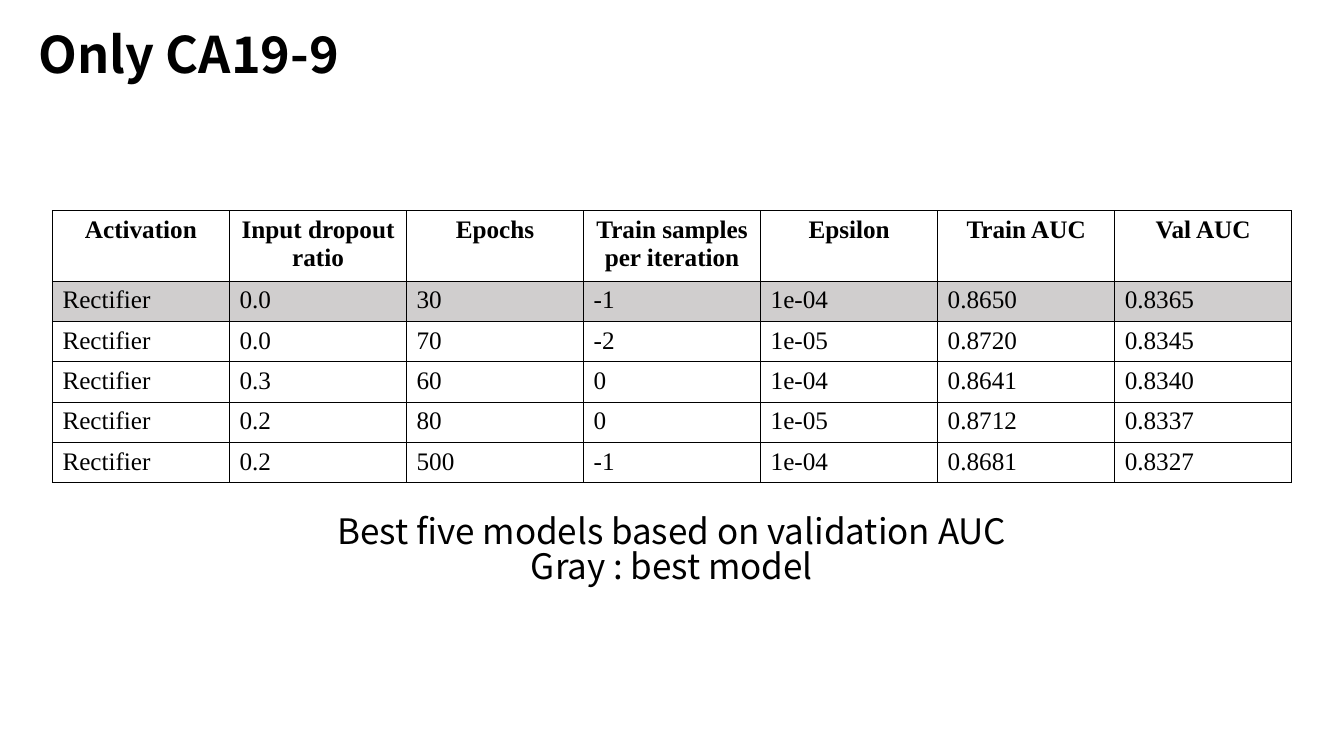
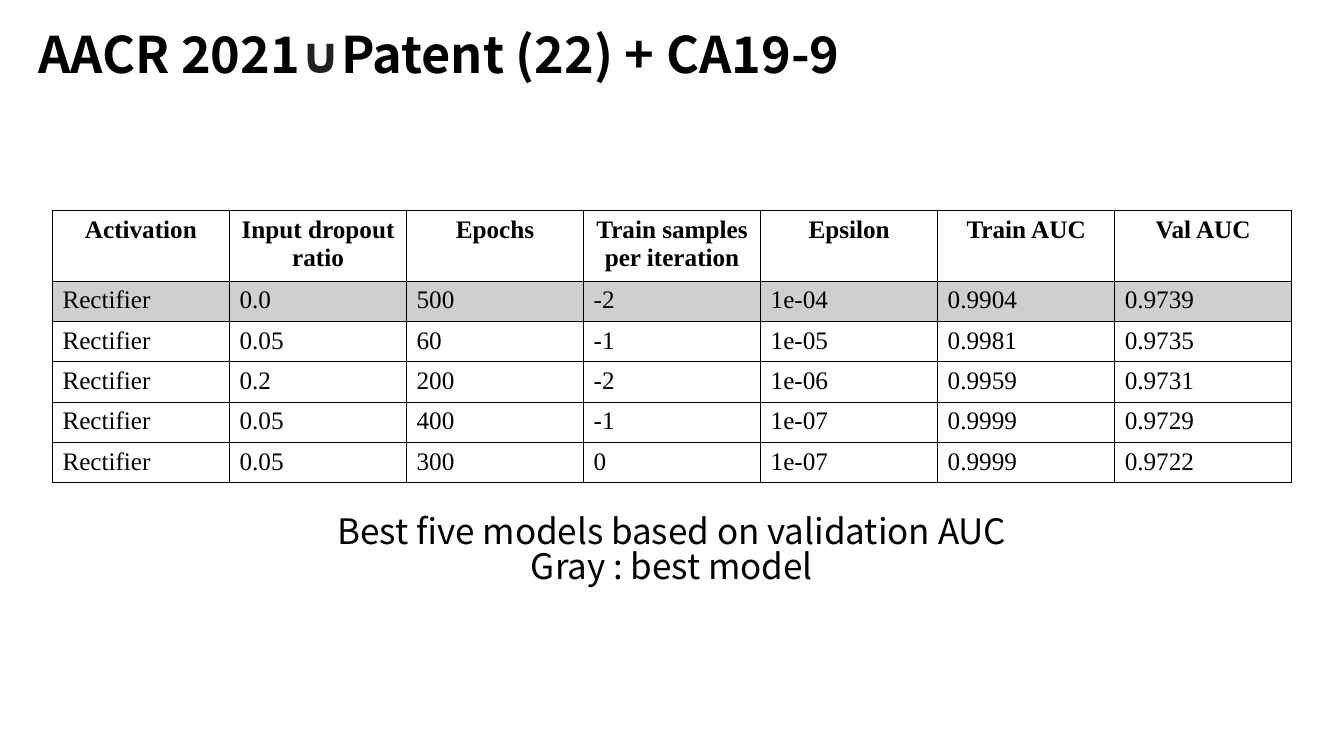
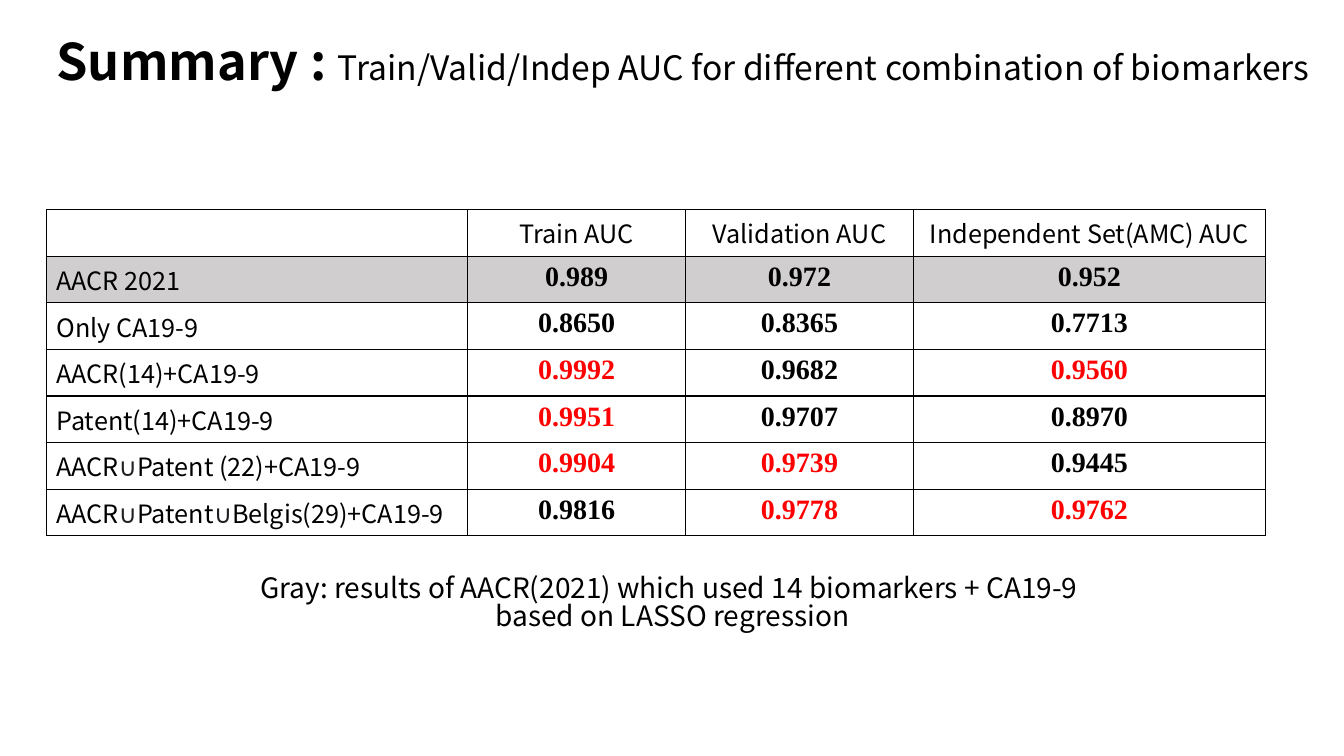
import itertools

import pptx
import pptx.dml.color
import pptx.enum.text
import pptx.oxml.ns
import lxml.etree
from pptx.util import Inches, Pt

SANS = "Noto Sans CJK KR"
SERIF = "Times New Roman"
UNION_FONT = "Lato"
BLACK, WHITE, GRAY, RED, UNION = "000000", "FFFFFF", "D0CECE", "FF0000", "202124"
LEFT = pptx.enum.text.PP_ALIGN.LEFT
CENTER = pptx.enum.text.PP_ALIGN.CENTER

MODEL_HEADER = ["Activation", "Input dropout ratio", "Epochs",
                "Train samples per iteration", "Epsilon", "Train AUC", "Val AUC"]
MODEL_CAPTION = ["Best five models based on validation AUC", "Gray : best model"]
CA19_MODELS = [
    ["Rectifier", "0.0", "30", "-1", "1e-04", "0.8650", "0.8365"],
    ["Rectifier", "0.0", "70", "-2", "1e-05", "0.8720", "0.8345"],
    ["Rectifier", "0.3", "60", "0", "1e-04", "0.8641", "0.8340"],
    ["Rectifier", "0.2", "80", "0", "1e-05", "0.8712", "0.8337"],
    ["Rectifier", "0.2", "500", "-1", "1e-04", "0.8681", "0.8327"],
]
UNION_MODELS = [
    ["Rectifier", "0.0", "500", "-2", "1e-04", "0.9904", "0.9739"],
    ["Rectifier", "0.05", "60", "-1", "1e-05", "0.9981", "0.9735"],
    ["Rectifier", "0.2", "200", "-2", "1e-06", "0.9959", "0.9731"],
    ["Rectifier", "0.05", "400", "-1", "1e-07", "0.9999", "0.9729"],
    ["Rectifier", "0.05", "300", "0", "1e-07", "0.9999", "0.9722"],
]
SUMMARY_HEADER = ["", "Train AUC", "Validation AUC", "Independent Set(AMC) AUC"]
SUMMARY_ROWS = [
    ["AACR 2021", "0.989", "0.972", "0.952"],
    ["Only CA19-9", "0.8650", "0.8365", "0.7713"],
    ["AACR(14)+CA19-9", "0.9992", "0.9682", "0.9560"],
    ["Patent(14)+CA19-9", "0.9951", "0.9707", "0.8970"],
    ["AACR∪Patent (22)+CA19-9", "0.9904", "0.9739", "0.9445"],
    ["AACR∪Patent∪Belgis(29)+CA19-9", "0.9816", "0.9778", "0.9762"],
]
SUMMARY_CAPTION = ["Gray: results of AACR(2021) which used 14 biomarkers + CA19-9 ",
                   "based on LASSO regression"]


def color(value):
    return pptx.dml.color.RGBColor.from_string(value)


def set_font(font, name, size, bold=False, ink=BLACK):
    font.name = name
    font.size = Pt(size)
    font.bold = bold
    font.color.rgb = color(ink)


def add_spans(para, text, size, bold=False):
    for is_union, letters in itertools.groupby(text, lambda letter: letter == "∪"):
        span = para.add_run()
        span.text = "".join(letters)
        name, ink = (UNION_FONT, UNION) if is_union else (SANS, BLACK)
        set_font(span.font, name, size, bold, ink)


def add_page(deck, title, left=0.28, top=-0.16, width=11.5, subtitle=""):
    page = deck.slides.add_slide(deck.slide_layouts[5])
    box = page.shapes.title
    box.left, box.top = Inches(left), Inches(top)
    box.width, box.height = Inches(width), Inches(1.45)
    frame = box.text_frame
    frame.auto_size = pptx.enum.text.MSO_AUTO_SIZE.NONE
    frame.vertical_anchor = pptx.enum.text.MSO_ANCHOR.MIDDLE
    para = frame.paragraphs[0]
    para.alignment = LEFT
    para.line_spacing = 0.9
    add_spans(para, title, 36, True)
    add_spans(para, subtitle, 24)
    return page


def add_caption(page, lines, left, top, width, height, size):
    box = page.shapes.add_textbox(Inches(left), Inches(top), Inches(width), Inches(height))
    frame = box.text_frame
    frame.word_wrap = True
    for index, line in enumerate(lines):
        para = frame.add_paragraph() if index else frame.paragraphs[0]
        para.text = line
        para.alignment = CENTER
        para.line_spacing = 0.83
        set_font(para.font, SANS, size)


def add_borders(cell):
    properties = cell._tc.get_or_add_tcPr()
    qn = pptx.oxml.ns.qn
    for side in ("a:lnL", "a:lnR", "a:lnT", "a:lnB"):
        line = lxml.etree.SubElement(properties, qn(side), w=str(Pt(1)))
        fill = lxml.etree.SubElement(line, qn("a:solidFill"))
        lxml.etree.SubElement(fill, qn("a:srgbClr"), val=BLACK)


def add_grid(page, rows, left, top, widths, heights, write_cell):
    frame = page.shapes.add_table(len(rows), len(widths), Inches(left), Inches(top),
                                  Inches(sum(widths)), Inches(sum(heights)))
    table = frame.table
    table.first_row = table.horz_banding = False
    for column, width in zip(table.columns, widths):
        column.width = Inches(width)
    for row, height in zip(table.rows, heights):
        row.height = Inches(height)
    for r, values in enumerate(rows):
        for c, value in enumerate(values):
            cell = table.cell(r, c)
            add_borders(cell)
            cell.fill.solid()
            cell.fill.fore_color.rgb = color(GRAY if r == 1 else WHITE)
            write_cell(cell.text_frame.paragraphs[0], value, r, c)


def write_model_cell(para, value, row, column):
    para.text = value
    para.alignment = LEFT if row else CENTER
    set_font(para.font, SERIF, 18, row == 0)


def write_summary_cell(para, value, row, column):
    para.alignment = CENTER if column else LEFT
    if row and column:
        baseline = float(SUMMARY_ROWS[0][column])
        para.text = value
        set_font(para.font, SERIF, 20, True, RED if float(value) > baseline else BLACK)
    else:
        add_spans(para, value, 18)


def add_model_page(deck, title, models):
    page = add_page(deck, title)
    add_grid(page, [MODEL_HEADER] + models, 0.52, 2.09, [1.756] * 7,
             [0.7] + [0.4] * 5, write_model_cell)
    add_caption(page, MODEL_CAPTION, 2.51, 5.08, 8.31, 0.94, 25)


def add_summary_page(deck):
    page = add_page(deck, "Summary : ", 0.46, -0.09, 12.87,
                    "Train/Valid/Indep AUC for different combination of biomarkers")
    add_grid(page, [SUMMARY_HEADER] + SUMMARY_ROWS, 0.46, 2.08,
             [4.18, 2.16, 2.26, 3.49], [0.41] * 7, write_summary_cell)
    add_caption(page, SUMMARY_CAPTION, 2.21, 5.67, 8.92, 0.77, 20)


def main():
    deck = pptx.Presentation()
    deck.slide_width, deck.slide_height = Inches(13.33), Inches(7.5)
    add_model_page(deck, "Only CA19-9", CA19_MODELS)
    add_model_page(deck, "AACR 2021∪Patent (22) + CA19-9", UNION_MODELS)
    add_summary_page(deck)
    deck.save("out.pptx")


if __name__ == "__main__":
    main()
